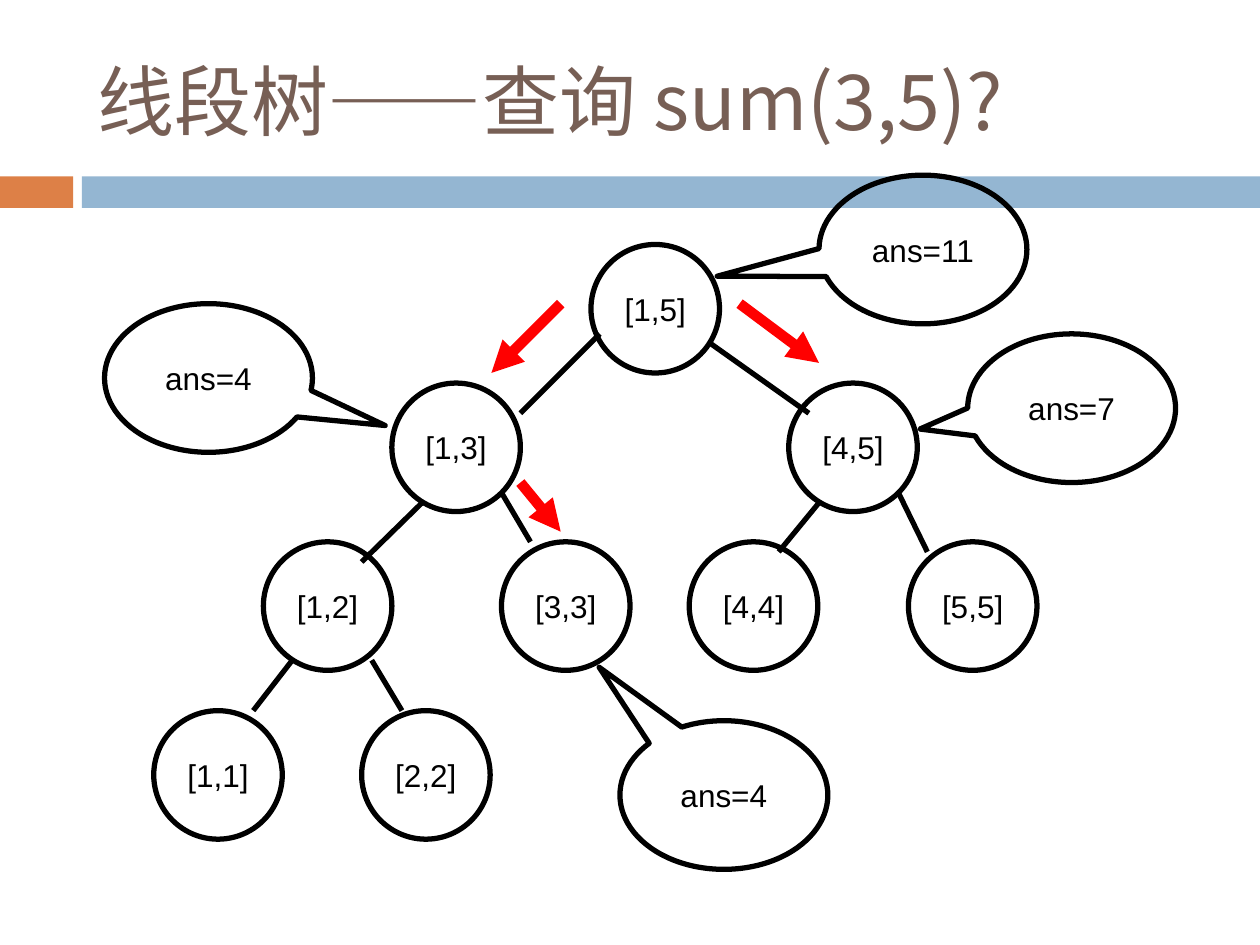
from dataclasses import dataclass

from lxml import etree
from pptx import Presentation
from pptx.dml.color import RGBColor
from pptx.enum.shapes import MSO_CONNECTOR, MSO_SHAPE
from pptx.enum.text import MSO_ANCHOR, MSO_AUTO_SIZE, PP_ALIGN
from pptx.oxml.ns import qn
from pptx.util import Inches, Pt

RECTANGLE = MSO_SHAPE.RECTANGLE
OVAL = MSO_SHAPE.OVAL
CALLOUT = MSO_SHAPE.OVAL_CALLOUT
STRAIGHT = MSO_CONNECTOR.STRAIGHT

TITLE_FONT = "Noto Sans CJK SC"
LABEL_FONT = "Arial"
BLACK, RED, BROWN = "000000", "FF0000", "775F55"
ORANGE, BLUE = "DD8047", "94B6D2"
NODE_SIZE = 1.02
CALLOUT_WIDTH, CALLOUT_HEIGHT = 1.65, 1.18
TITLE_ONLY_LAYOUT = 5


@dataclass
class Node:
    text: str
    left: float
    top: float


@dataclass
class Callout:
    text: str
    left: float
    top: float
    tip_x: float  # tip offset from the centre, in callout widths
    tip_y: float  # tip offset from the centre, in callout heights


@dataclass
class Line:
    x1: float
    y1: float
    x2: float
    y2: float


# Tree levels share their top edge
LEVEL_TOPS = [1.94, 3.04, 4.3, 5.64]
LEVELS = [
    [("[1,5]", 4.69)],
    [("[1,3]", 3.11), ("[4,5]", 6.26)],
    [("[1,2]", 2.09), ("[3,3]", 3.98), ("[4,4]", 5.47), ("[5,5]", 7.21)],
    [("[1,1]", 1.22), ("[2,2]", 2.87)],
]
NODES = [
    Node(text, left, top)
    for top, level in zip(LEVEL_TOPS, LEVELS)
    for text, left in level
]
EDGES = [
    Line(4.76, 2.65, 4.13, 3.28),
    Line(5.63, 2.72, 6.42, 3.28),
    Line(3.35, 3.99, 2.87, 4.46),
    Line(3.98, 3.91, 4.21, 4.3),
    Line(6.5, 3.99, 6.18, 4.38),
    Line(7.13, 3.91, 7.36, 4.38),
    Line(2.32, 5.24, 2.01, 5.64),
    Line(2.95, 5.24, 3.19, 5.64),
]
QUERY_ARROWS = [
    Line(4.45, 2.41, 3.9, 2.96),
    Line(4.13, 3.83, 4.45, 4.22),
    Line(5.87, 2.41, 6.5, 2.88),
]
CALLOUTS = [
    Callout("ans=4", 4.92, 5.72, -0.6, -0.86),
    Callout("ans=4", 0.83, 2.41, 0.85, 0.32),
    Callout("ans=7", 7.68, 2.65, -0.73, 0.14),
    Callout("ans=11", 6.5, 1.39, -0.99, 0.18),
]


def color(value: str) -> RGBColor:
    return RGBColor.from_string(value)


def set_font(paragraph, name: str, size: float, value: str) -> None:
    font = paragraph.font
    font.name = name
    font.size = Pt(size)
    font.color.rgb = color(value)


def add_title(slide, text: str) -> None:
    title = slide.shapes.title
    title.left, title.top = Inches(0.67), Inches(0.25)
    title.width, title.height = Inches(8.92), Inches(1.08)
    frame = title.text_frame
    frame.text = text
    frame.vertical_anchor = MSO_ANCHOR.MIDDLE
    frame.auto_size = MSO_AUTO_SIZE.NONE
    paragraph = frame.paragraphs[0]
    paragraph.alignment = PP_ALIGN.LEFT
    set_font(paragraph, TITLE_FONT, 44, BROWN)
    # East Asian typeface for the Chinese characters
    properties = paragraph.font._element if hasattr(paragraph.font, "_element") else paragraph.font._rPr
    etree.SubElement(properties, qn("a:ea"), typeface=TITLE_FONT)


def add_bar(slide, left: float, width: float, fill: str) -> None:
    bar = slide.shapes.add_shape(
        RECTANGLE, Inches(left), Inches(1.4), Inches(width), Inches(0.25)
    )
    bar.shadow.inherit = False
    bar.fill.solid()
    bar.fill.fore_color.rgb = color(fill)
    bar.line.fill.background()


def add_outlined(slide, kind, text: str, left: float, top: float,
                 width: float, height: float):
    shape = slide.shapes.add_shape(
        kind, Inches(left), Inches(top), Inches(width), Inches(height)
    )
    shape.shadow.inherit = False
    shape.fill.background()
    shape.line.color.rgb = color(BLACK)
    shape.line.width = Pt(3)
    frame = shape.text_frame
    frame.text = text
    frame.word_wrap = False
    frame.vertical_anchor = MSO_ANCHOR.MIDDLE
    paragraph = frame.paragraphs[0]
    paragraph.alignment = PP_ALIGN.CENTER
    set_font(paragraph, LABEL_FONT, 18, BLACK)
    return shape


def add_node(slide, node: Node) -> None:
    add_outlined(slide, OVAL, node.text, node.left, node.top, NODE_SIZE, NODE_SIZE)


def add_callout(slide, callout: Callout) -> None:
    shape = add_outlined(slide, CALLOUT, callout.text, callout.left, callout.top,
                         CALLOUT_WIDTH, CALLOUT_HEIGHT)
    shape.adjustments[0] = callout.tip_x
    shape.adjustments[1] = callout.tip_y


def add_line(slide, line: Line, value: str, width: float, arrow: bool = False) -> None:
    connector = slide.shapes.add_connector(
        STRAIGHT, Inches(line.x1), Inches(line.y1), Inches(line.x2), Inches(line.y2)
    )
    connector.line.color.rgb = color(value)
    connector.line.width = Pt(width)
    if arrow:
        etree.SubElement(connector.line._get_or_add_ln(), qn("a:tailEnd"), type="triangle")
    etree.SubElement(connector._element.spPr, qn("a:effectLst"))


def main() -> None:
    presentation = Presentation()
    presentation.slide_width = Inches(10)
    presentation.slide_height = Inches(7.5)
    slide = presentation.slides.add_slide(presentation.slide_layouts[TITLE_ONLY_LAYOUT])

    # Heading
    add_bar(slide, 0, 0.58, ORANGE)
    add_bar(slide, 0.65, 9.35, BLUE)
    add_title(slide, "线段树——查询 sum(3,5)?")

    # Segment tree
    for node in NODES:
        add_node(slide, node)
    for edge in EDGES:
        add_line(slide, edge, BLACK, 3)

    # Query path and partial answers
    for arrow in QUERY_ARROWS:
        add_line(slide, arrow, RED, 6, arrow=True)
    for callout in CALLOUTS:
        add_callout(slide, callout)

    presentation.save("out.pptx")


if __name__ == "__main__":
    main()
